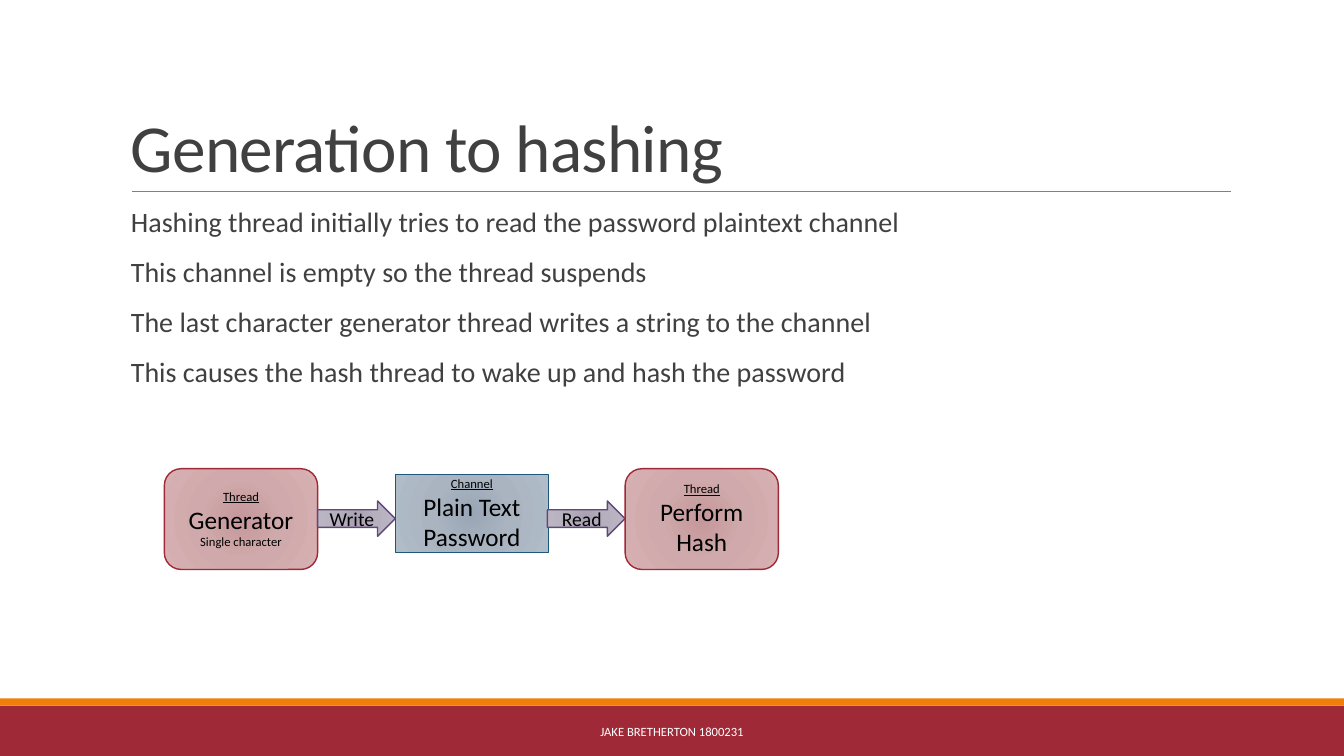
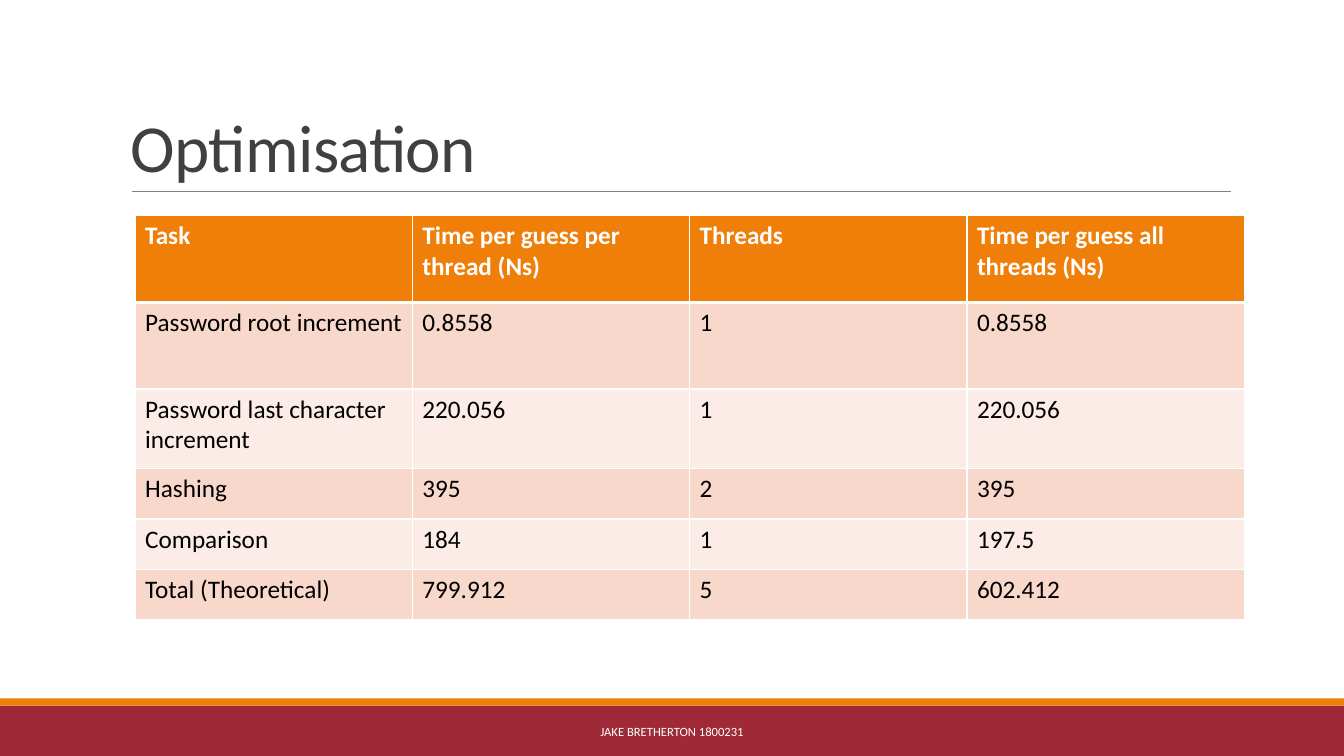
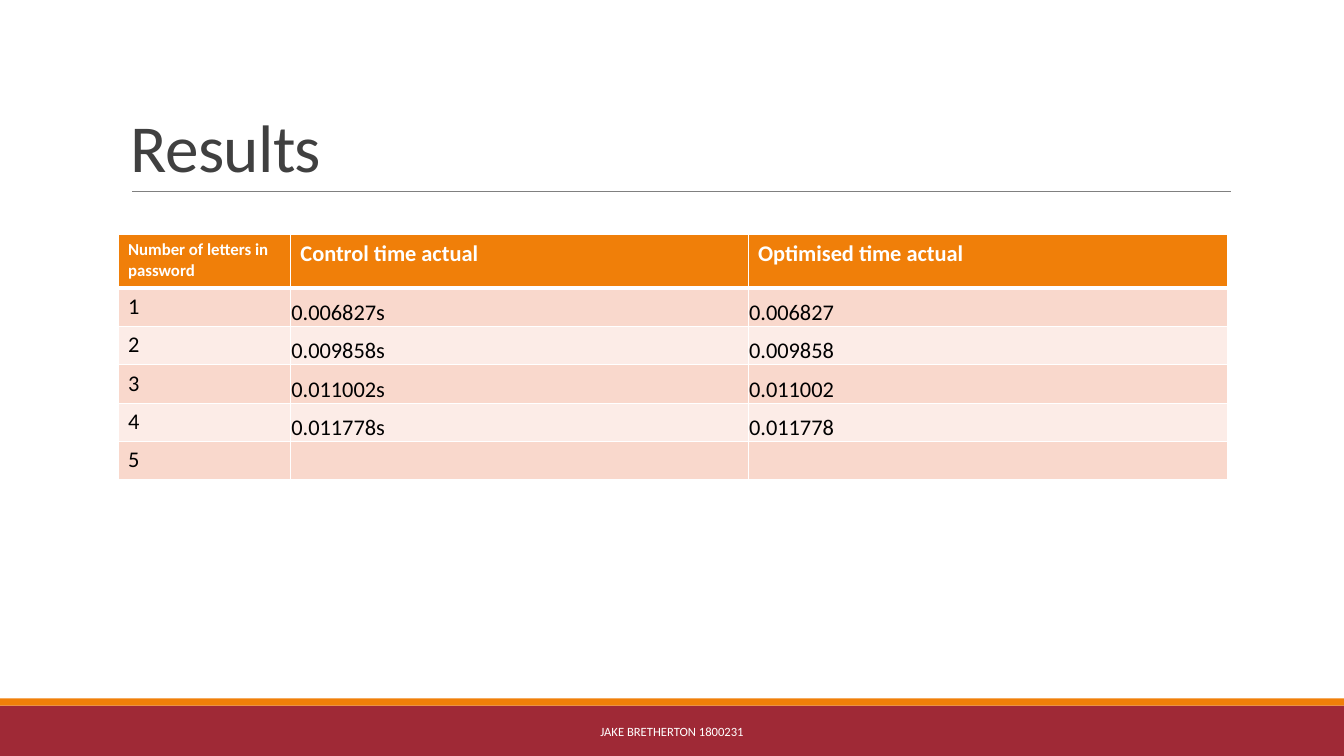
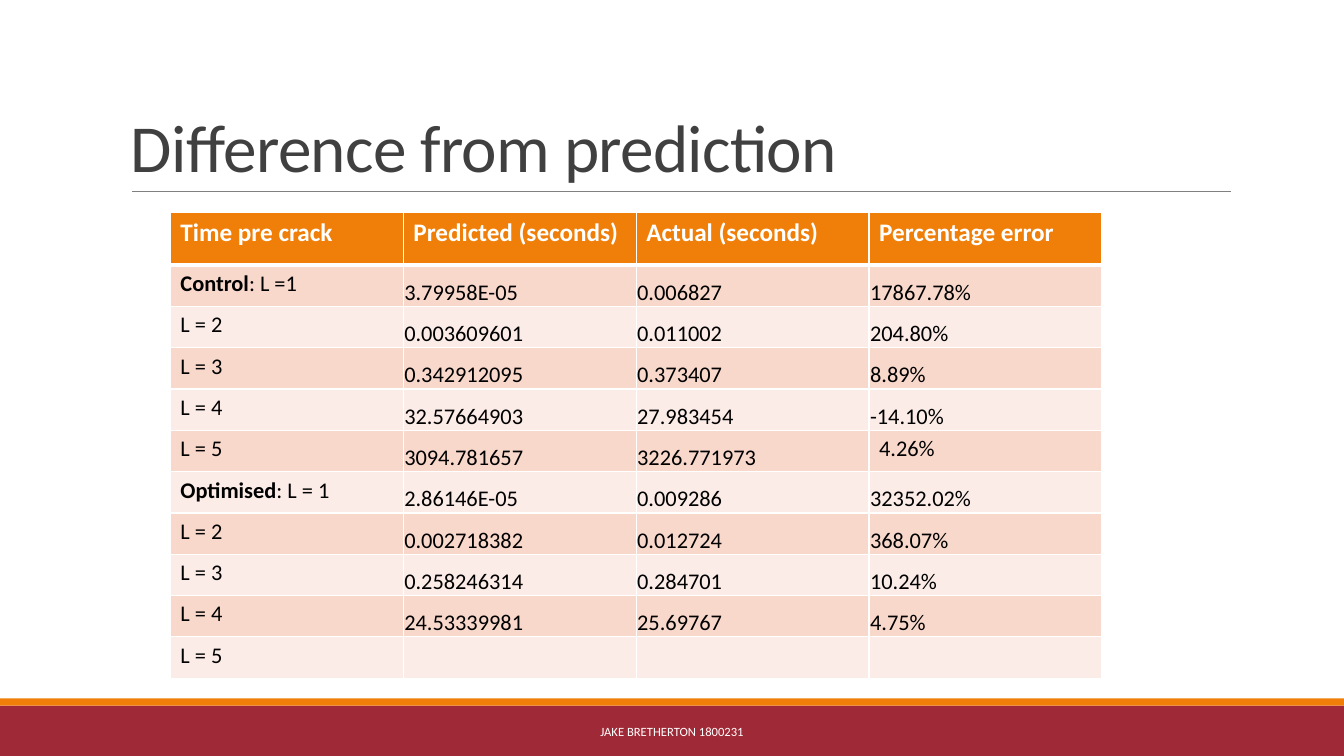
from dataclasses import dataclass

from lxml.etree import SubElement
from pptx import Presentation
from pptx.dml.color import RGBColor
from pptx.enum.shapes import MSO_CONNECTOR as Link, MSO_SHAPE as Kind
from pptx.enum.text import MSO_ANCHOR as Anchor, PP_ALIGN as Align
from pptx.oxml import parse_xml
from pptx.oxml.ns import nsdecls, qn
from pptx.slide import Slide
from pptx.text.text import TextFrame
from pptx.util import Inches, Pt

FONT = "Calibri"
FOOT = "JAKE BRETHERTON 1800231"

WHITE = RGBColor(0xFF, 0xFF, 0xFF)
BLACK = RGBColor(0, 0, 0)
INK = RGBColor(0x40, 0x40, 0x40)
GREY = RGBColor(0x80, 0x80, 0x80)
RED = RGBColor(0x9F, 0x29, 0x36)
ORANGE = RGBColor(0xF0, 0x7F, 0x09)
BLUE = RGBColor(0x1B, 0x58, 0x7C)
PURPLE = RGBColor(0x60, 0x48, 0x78)
BANDS = (RGBColor(0xFC, 0xEC, 0xE7), RGBColor(0xF9, 0xD8, 0xCC))

MID = {"alignment": Align.CENTER}
LEFT = {"alignment": Align.LEFT}
TITLE = {"line_spacing": 0.85}
BODY = {"line_spacing": 0.9, "space_before": Pt(12), "space_after": Pt(2)}
SNUG = {
    "vertical_anchor": Anchor.BOTTOM,
    "margin_left": Inches(0.01),
    "margin_right": Inches(0.01),
    "margin_top": Inches(0.01),
    "margin_bottom": 0,
}


@dataclass(frozen=True)
class Line:
    text: str
    size: float
    under: bool = False


@dataclass(frozen=True)
class Look:
    kind: Kind
    edge: RGBColor
    tones: tuple[str, str, str]
    width: float
    height: float


@dataclass(frozen=True)
class Node:
    look: Look
    left: float
    top: float
    lines: tuple[Line, ...]


@dataclass(frozen=True)
class Grid:
    title: str
    left: float
    top: float
    cols: list[float]
    rows: list[float]
    cells: list[list[str]]
    size: float
    heads: list[float]
    snug: bool = False
    loose: tuple[str, ...] = ()


THREAD = Look(Kind.ROUNDED_RECTANGLE, RED, ("C6989B", "CFA9AB", "D7B0B2"), 1.52, 1)
CHANNEL = Look(Kind.RECTANGLE, BLUE, ("99A6B5", "A9B4C0", "B1BCC9"), 1.52, 0.77)
ARROW = Look(Kind.RIGHT_ARROW, PURPLE, ("A8A0B2", "B6AFBE", "BEB7C6"), 0.77, 0.35)

POINTS = [
    "Hashing thread initially tries to read the password plaintext channel",
    "This channel is empty so the thread suspends",
    "The last character generator thread writes a string to the channel",
    "This causes the hash thread to wake up and hash the password",
]

NODES = [
    Node(CHANNEL, 3.92, 4.71, (Line("Channel", 9, True), Line("Plain Text Password", 18))),
    Node(THREAD, 1.63, 4.65, (
        Line("Thread", 9, True), Line("Generator", 18), Line("Single character", 9))),
    Node(ARROW, 3.15, 4.97, (Line("Write", 14),)),
    Node(ARROW, 5.43, 4.97, (Line("Read", 14),)),
    Node(THREAD, 6.2, 4.65, (Line("Thread", 9, True), Line("Perform Hash", 18))),
]

GRIDS = [
    Grid("Optimisation", 1.34, 2.14, [2.75] * 4, [0.86, 0.86, 0.79] + [0.5] * 3, [
        ["Task", "Time per guess per thread (Ns)", "Threads", "Time per guess all threads (Ns)"],
        ["Password root increment", "0.8558", "1", "0.8558"],
        ["Password last character increment", "220.056", "1", "220.056"],
        ["Hashing", "395", "2", "395"],
        ["Comparison", "184", "1", "197.5"],
        ["Total (Theoretical)", "799.912", "5", "602.412"],
    ], 18, [18] * 4),
    Grid("Results", 1.17, 2.33, [1.71, 4.54, 4.76], [0.53] + [0.38] * 5, [
        ["Number of letters in password", "Control time actual", "Optimised time actual"],
        ["1", "0.006827s", "0.006827"],
        ["2", "0.009858s", "0.009858"],
        ["3", "0.011002s", "0.011002"],
        ["4", "0.011778s", "0.011778"],
        ["5", "", ""],
    ], 16, [12, 16, 16], True),
    Grid("Difference from prediction", 1.69, 2.11, [2.31] * 4, [0.52] + [0.41] * 10, [
        ["Time pre crack", "Predicted (seconds)", "Actual (seconds)", "Percentage error"],
        ["Control: L =1", "3.79958E-05", "0.006827", "17867.78%"],
        ["L = 2", "0.003609601", "0.011002", "204.80%"],
        ["L = 3", "0.342912095", "0.373407", "8.89%"],
        ["L = 4", "32.57664903", "27.983454", "-14.10%"],
        ["L = 5", "3094.781657", "3226.771973", "4.26%"],
        ["Optimised: L = 1", "2.86146E-05", "0.009286", "32352.02%"],
        ["L = 2", "0.002718382", "0.012724", "368.07%"],
        ["L = 3", "0.258246314", "0.284701", "10.24%"],
        ["L = 4", "24.53339981", "25.69767", "4.75%"],
        ["L = 5", "", "", ""],
    ], 16, [18] * 4, True, ("4.26%",)),
]


def apply(item: object, form: dict) -> None:
    for name, value in form.items():
        setattr(item, name, value)


def add_run(para, text: str, color: RGBColor, form: dict):
    run = para.add_run()
    run.text = text
    apply(run.font, {"name": FONT, **form})
    run.font.color.rgb = color
    return run


def write(frame: TextFrame, lines: list[Line], color: RGBColor, form: dict) -> None:
    frame.word_wrap = True
    for i, line in enumerate(lines):
        para = frame.add_paragraph() if i else frame.paragraphs[0]
        apply(para, form)
        add_run(para, line.text, color, {"size": Pt(line.size), "underline": line.under})


def add_text(slide: Slide, box: tuple, lines: list[Line], color: RGBColor,
             form: dict, anchor: Anchor) -> TextFrame:
    frame = slide.shapes.add_textbox(*map(Inches, box)).text_frame
    frame.vertical_anchor = anchor
    write(frame, lines, color, form)
    return frame


def add_band(slide: Slide, top: float, height: float, color: RGBColor) -> None:
    band = slide.shapes.add_shape(
        Kind.RECTANGLE, 0, Inches(top), Inches(13.33), Inches(height))
    band.shadow.inherit = False
    band.fill.solid()
    band.fill.fore_color.rgb = color
    band.line.fill.background()


def add_page(deck, title: str) -> Slide:
    """Add a slide with the bands, rule, title and footer that all share."""
    slide = deck.slides.add_slide(deck.slide_layouts[6])
    add_band(slide, 7, 0.5, RED)
    add_band(slide, 6.93, 0.07, ORANGE)
    rule = slide.shapes.add_connector(
        Link.STRAIGHT, Inches(1.31), Inches(1.9), Inches(12.21), Inches(1.9))
    rule.line.color.rgb = GREY
    rule.line.width = Pt(0.5)
    SubElement(rule.element.spPr, qn("a:effectLst"))
    head = add_text(slide, (1.2, 0.31, 11, 1.59), [Line(title, 48)], INK, TITLE, Anchor.BOTTOM)
    head.paragraphs[0].runs[0].font._element.set("spc", "-50")
    add_text(slide, (4.03, 7.06, 5.27, 0.4), [Line(FOOT, 9)], WHITE, MID, Anchor.MIDDLE)
    return slide


def shade(shape, tones: tuple[str, str, str]) -> None:
    """Fill the shape with a round gradient."""
    stops = "".join(
        f'<a:gs pos="{pos}"><a:srgbClr val="{tone}"/></a:gs>'
        for pos, tone in zip((0, 45000, 100000), tones))
    sides = " ".join(f'{side}="100000"' for side in "ltrb")
    shape.fill.background()
    props = shape.element.spPr
    props.replace(props.find(qn("a:noFill")), parse_xml(
        f'<a:gradFill {nsdecls("a")}><a:gsLst>{stops}</a:gsLst>'
        f'<a:path path="circle"><a:fillToRect {sides}/></a:path></a:gradFill>'))


def add_node(slide: Slide, node: Node) -> None:
    look = node.look
    shape = slide.shapes.add_shape(
        look.kind, *map(Inches, (node.left, node.top, look.width, look.height)))
    shape.shadow.inherit = False
    shade(shape, look.tones)
    shape.line.color.rgb = look.edge
    shape.line.width = Pt(1)
    shape.text_frame.vertical_anchor = Anchor.MIDDLE
    write(shape.text_frame, node.lines, BLACK, MID)


def set_edges(cell, row: int) -> None:
    """Draw white borders, thick below the header row."""
    widths = {"L": 1, "R": 1, "T": 3 if row == 1 else 1, "B": 1 if row else 3}
    props = cell._tc.get_or_add_tcPr()
    for i, (side, width) in enumerate(widths.items()):
        props.insert(i, parse_xml(
            f'<a:ln{side} {nsdecls("a")} w="{Pt(width)}"><a:solidFill>'
            f'<a:srgbClr val="{WHITE}"/></a:solidFill></a:ln{side}>'))


def fill_cell(cell, grid: Grid, row: int, col: int) -> None:
    text = grid.cells[row][col]
    size = Pt(grid.size if row else grid.heads[col])
    cell.fill.solid()
    cell.fill.fore_color.rgb = BANDS[row % 2] if row else ORANGE
    set_edges(cell, row)
    if grid.snug and row and col and text and text not in grid.loose:
        apply(cell, SNUG)
    para = cell.text_frame.paragraphs[0]
    apply(para, LEFT)
    if not text:
        SubElement(para._p, qn("a:endParaRPr")).set("sz", str(int(size.pt * 100)))
        return
    lead, colon, rest = text.partition(":")
    add_run(para, lead, BLACK if row else WHITE, {"size": size, "bold": not row or bool(colon)})
    if colon:
        add_run(para, colon + rest, BLACK, {"size": size, "bold": False})


def add_grid(slide: Slide, grid: Grid) -> None:
    box = (grid.left, grid.top, sum(grid.cols), sum(grid.rows))
    table = slide.shapes.add_table(
        len(grid.rows), len(grid.cols), *map(Inches, box)).table
    for col, width in zip(table.columns, grid.cols):
        col.width = Inches(width)
    for row, height in enumerate(grid.rows):
        table.rows[row].height = Inches(height)
        for col in range(len(grid.cols)):
            fill_cell(table.cell(row, col), grid, row, col)


def main() -> None:
    deck = Presentation()
    deck.slide_width, deck.slide_height = Inches(13.33), Inches(7.5)

    slide = add_page(deck, "Generation to hashing")
    add_text(slide, (1.2, 2.02, 11, 4.4), [Line(text, 20) for text in POINTS],
             INK, BODY, Anchor.TOP)
    for node in NODES:
        add_node(slide, node)

    for grid in GRIDS:
        add_grid(add_page(deck, grid.title), grid)

    deck.save("out.pptx")


if __name__ == "__main__":
    main()
